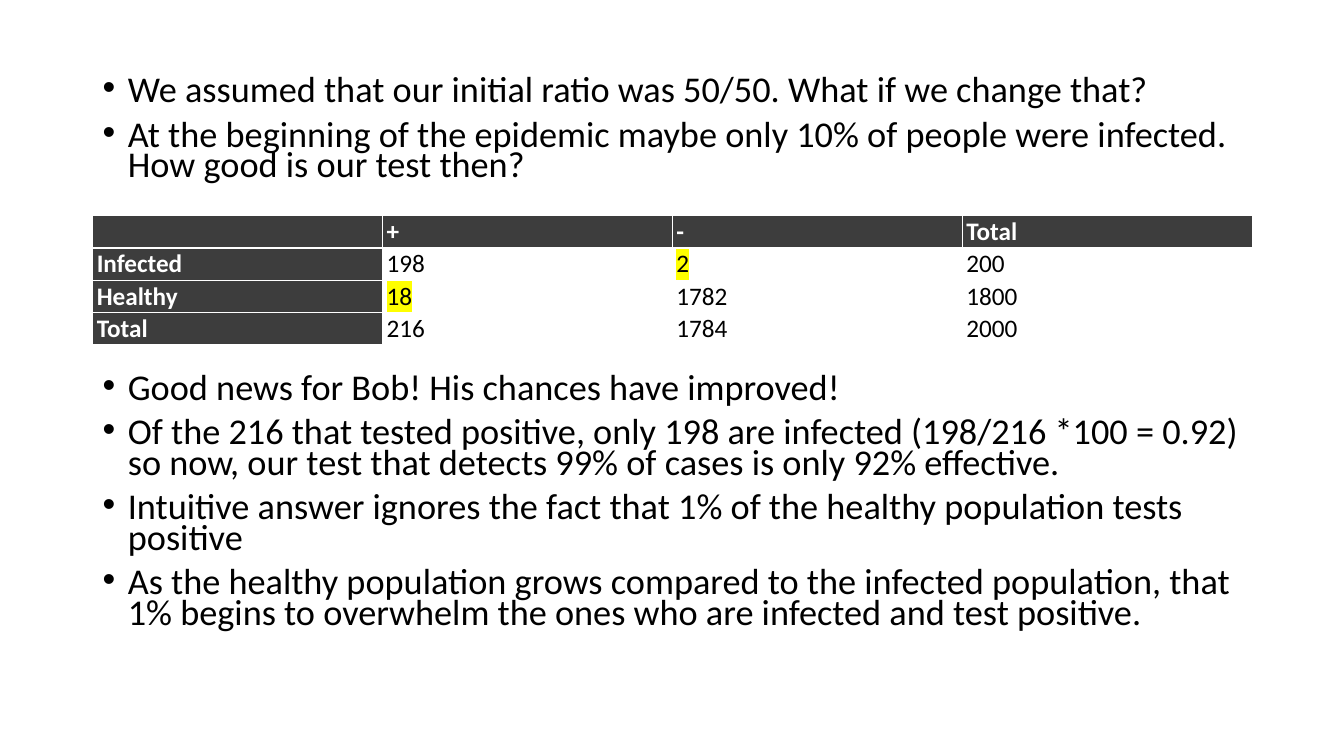
"""Build a slide on how the infection rate changes a test's reliability."""
import pptx
import pptx.dml.color
import pptx.enum.text
import pptx.oxml
import pptx.oxml.ns
import pptx.util

Inches = pptx.util.Inches
Pt = pptx.util.Pt
RGBColor = pptx.dml.color.RGBColor

BULLETS = [
    "We assumed that our initial ratio was 50/50. What if we change that?",
    "At the beginning of the epidemic maybe only 10% of people were infected. How good is our test then?",
    "Good news for Bob! His chances have improved!",
    "Of the 216 that tested positive, only 198 are infected (198/216 *100 = 0.92) so now, our test that detects 99% of cases is only 92% effective.",
    "Intuitive answer ignores the fact that 1% of the healthy population tests positive",
    "As the healthy population grows compared to the infected population, that 1% begins to overwhelm the ones who are infected and test positive.",
]
RESULTS = [
    ["", "+", "-", "Total"],
    ["Infected", "198", "2", "200"],
    ["Healthy", "18", "1782", "1800"],
    ["Total", "216", "1784", "2000"],
]
MISTAKES = {(1, 2), (2, 1)}
FIRST_BULLET_BELOW_TABLE = 2
TABLE_GAP = Pt(137)

BLACK = RGBColor(0x00, 0x00, 0x00)
WHITE = RGBColor(0xFF, 0xFF, 0xFF)
CHARCOAL = RGBColor(0x3D, 0x3D, 0x3D)
YELLOW = RGBColor(0xFF, 0xFF, 0x00)

LEFT, WIDTH = Inches(0.92), Inches(11.5)
TEXT_TOP, TEXT_HEIGHT = Inches(0.73), Inches(6.02)
TABLE_TOP, TABLE_HEIGHT = Inches(2.14), Inches(1.28)
INDENT = Inches(0.25)

BULLET_FONT = {"name": "Calibri", "size": Pt(25.9), "bold": False}
CELL_FORMAT = {
    "margin_left": Inches(0.04),
    "margin_right": Inches(0.04),
    "margin_top": Inches(0.01),
    "margin_bottom": Inches(0.01),
    "vertical_anchor": pptx.enum.text.MSO_ANCHOR.MIDDLE,
}


def apply_format(target, values):
    for name, value in values.items():
        setattr(target, name, value)


def add_bullet(paragraph):
    properties = paragraph._p.get_or_add_pPr()
    properties.set("marL", str(INDENT))
    properties.set("indent", str(-INDENT))
    namespace = pptx.oxml.ns.nsdecls("a")
    for xml in (f'<a:buFont {namespace} typeface="Arial"/>', f'<a:buChar {namespace} char="•"/>'):
        properties.append(pptx.oxml.parse_xml(xml))


def highlight(run):
    fill = run._r.rPr.find(pptx.oxml.ns.qn("a:solidFill"))
    fill.addnext(pptx.oxml.parse_xml(
        f'<a:highlight {pptx.oxml.ns.nsdecls("a")}><a:srgbClr val="{YELLOW}"/></a:highlight>'))


def add_bullets(slide):
    frame = slide.shapes.add_textbox(LEFT, TEXT_TOP, WIDTH, TEXT_HEIGHT).text_frame
    frame.word_wrap = True
    for index, text in enumerate(BULLETS):
        paragraph = frame.add_paragraph() if index else frame.paragraphs[0]
        below_table = index == FIRST_BULLET_BELOW_TABLE
        spacing = {"line_spacing": 0.7, "space_before": TABLE_GAP if below_table else Pt(10)}
        apply_format(paragraph, spacing)
        add_bullet(paragraph)
        run = paragraph.add_run()
        run.text = text
        apply_format(run.font, BULLET_FONT)
        run.font.color.rgb = BLACK


def add_results(slide):
    table = slide.shapes.add_table(
        len(RESULTS), len(RESULTS[0]), LEFT, TABLE_TOP, WIDTH, TABLE_HEIGHT).table
    apply_format(table, {"first_row": False, "horz_banding": False})
    for row, values in enumerate(RESULTS):
        for column, value in enumerate(values):
            heading = row == 0 or column == 0
            cell = table.cell(row, column)
            apply_format(cell, CELL_FORMAT)
            cell.fill.solid()
            cell.fill.fore_color.rgb = CHARCOAL if heading else WHITE
            if not value:
                continue
            run = cell.text_frame.paragraphs[0].add_run()
            run.text = value
            apply_format(run.font, {"name": "Calibri", "size": Pt(18), "bold": heading})
            run.font.color.rgb = WHITE if heading else BLACK
            if (row, column) in MISTAKES:
                highlight(run)


def main():
    presentation = pptx.Presentation()
    presentation.slide_width = Inches(13.33)
    presentation.slide_height = Inches(7.5)
    slide = presentation.slides.add_slide(presentation.slide_layouts[6])
    add_bullets(slide)
    add_results(slide)
    presentation.save("out.pptx")


if __name__ == "__main__":
    main()
